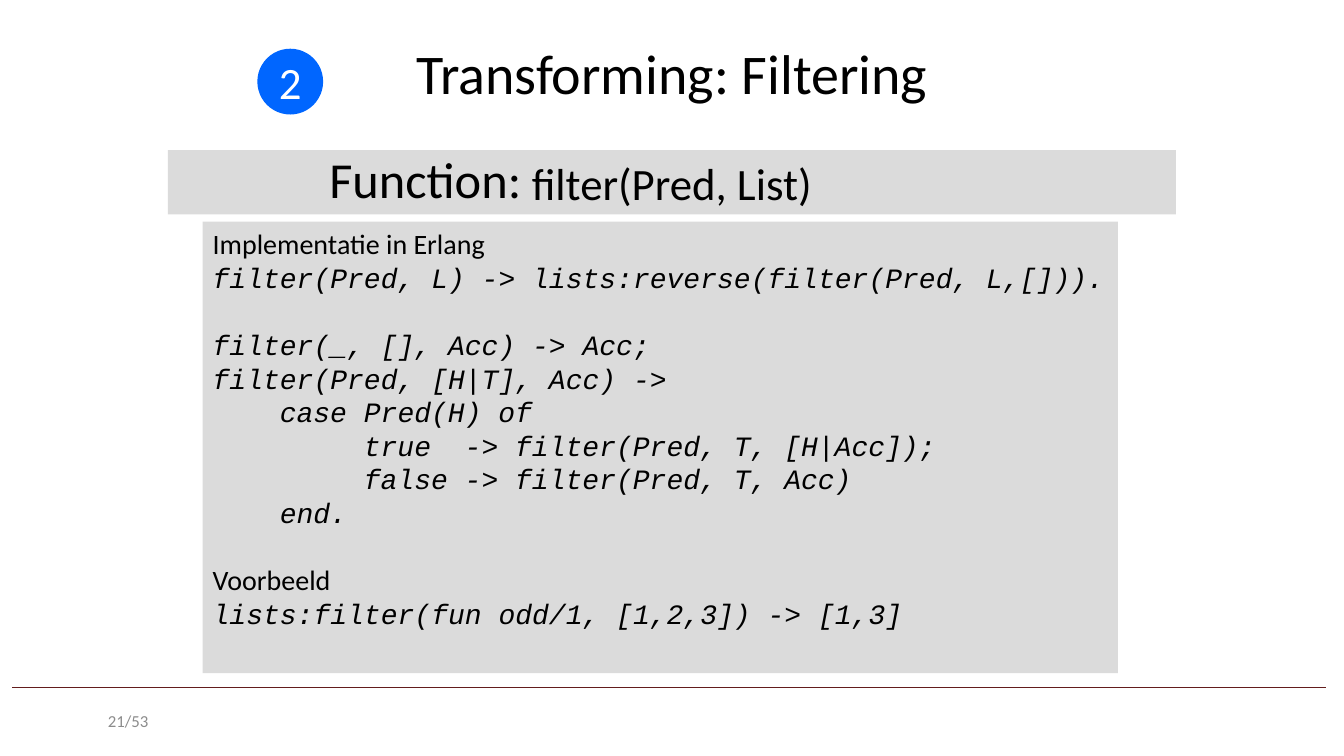
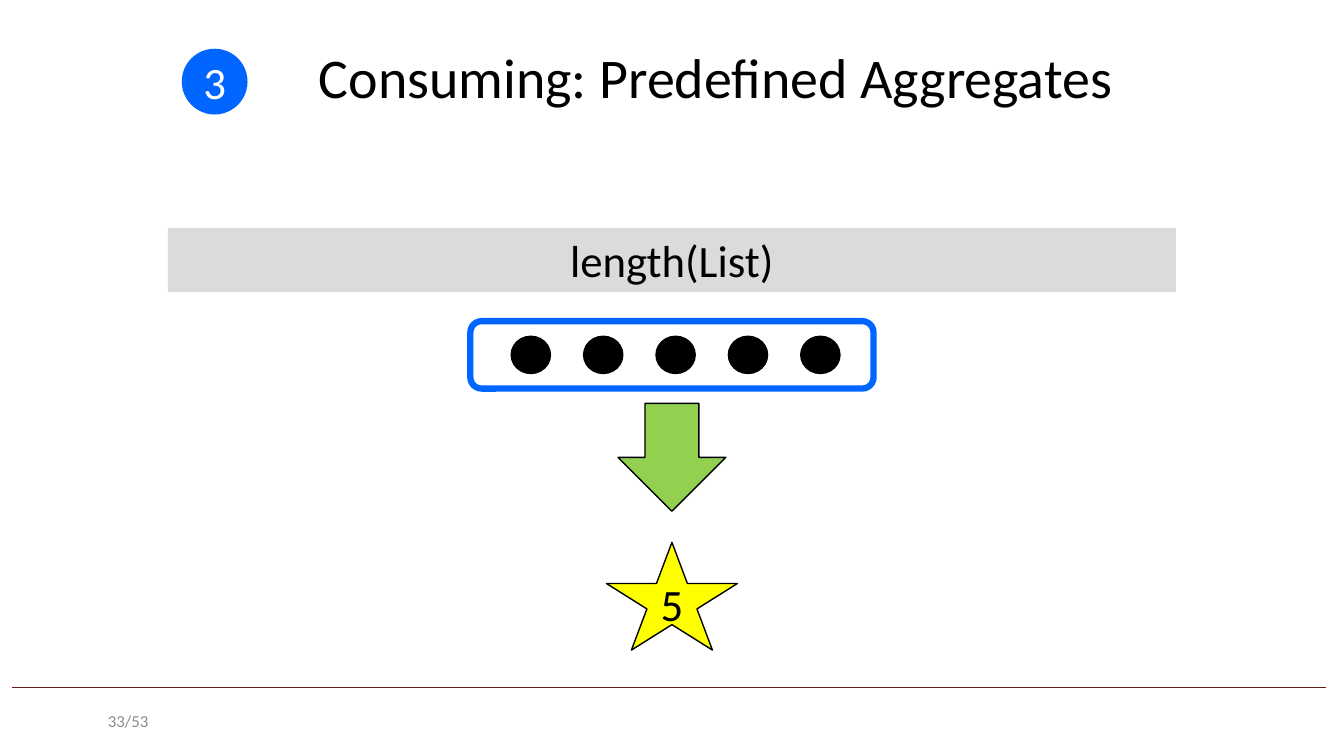
import pptx
import pptx.util
import pptx.dml.color
import pptx.enum.shapes
import pptx.enum.text
import pptx.oxml.ns
import lxml.etree

Pt = pptx.util.Pt
RGBColor = pptx.dml.color.RGBColor
SHAPE = pptx.enum.shapes.MSO_SHAPE
ALIGN = pptx.enum.text.PP_ALIGN
ANCHOR = pptx.enum.text.MSO_ANCHOR

BLACK = RGBColor(0x00, 0x00, 0x00)
WHITE = RGBColor(0xFF, 0xFF, 0xFF)
BAND_GRAY = RGBColor(0xDB, 0xDB, 0xDB)
NUMBER_GRAY = RGBColor(0x8C, 0x8C, 0x8C)
RULE_BROWN = RGBColor(0x63, 0x1D, 0x1D)
BLUE = RGBColor(0x00, 0x66, 0xFF)
GREEN = RGBColor(0x92, 0xD0, 0x50)
YELLOW = RGBColor(0xFF, 0xFF, 0x00)

BODY_FONT, CODE_FONT = "Calibri", "Courier New"
SLIDE_WIDTH, SLIDE_HEIGHT = 960, 540
PAGE_COUNT = 53
CODE_SIZE = 20
CODE_CHAR = 0.6 * CODE_SIZE
CODE_LINE = 24

# Each line: text, indent in characters, blank lines before it, is it code
FILTER_LISTING = [
    ("Implementatie in Erlang", 0, 0, False),
    ("filter(Pred, L) -> lists:reverse(filter(Pred, L,[])).", 0, 0, True),
    ("filter(_, [], Acc) -> Acc;", 0, 1, True),
    ("filter(Pred, [H|T], Acc) ->", 0, 0, True),
    ("case Pred(H) of", 4, 0, True),
    ("true  -> filter(Pred, T, [H|Acc]);", 9, 0, True),
    ("false -> filter(Pred, T, Acc)", 9, 0, True),
    ("end.", 4, 0, True),
    ("Voorbeeld", 0, 1, False),
    ("lists:filter(fun odd/1, [1,2,3]) -> [1,3]", 0, 0, True),
]


def points(box):
    """Turn a (left, top, width, height) box in points into lengths."""
    return [Pt(length) for length in box]


def add_run(paragraph, text, size, color=BLACK, font=BODY_FONT, italic=False):
    """Append one formatted run to a paragraph."""
    run = paragraph.add_run()
    run.text = text
    run.font.name = font
    run.font.size = Pt(size)
    run.font.italic = italic
    run.font.color.rgb = color


def write_line(frame, text, size, color=BLACK, align=ALIGN.CENTER, anchor=ANCHOR.MIDDLE):
    """Write a single line into an empty text frame."""
    frame.word_wrap = True
    frame.vertical_anchor = anchor
    frame.paragraphs[0].alignment = align
    add_run(frame.paragraphs[0], text, size, color)


def add_figure(shapes, preset, box, fill=None, outline=None, weight=1):
    """Add a flat preset shape with the given fill and outline."""
    figure = shapes.add_shape(preset, *points(box))
    figure.shadow.inherit = False
    if fill is None:
        figure.fill.background()
    else:
        figure.fill.solid()
        figure.fill.fore_color.rgb = fill
    if outline is None:
        figure.line.fill.background()
    else:
        figure.line.color.rgb = outline
        figure.line.width = Pt(weight)
    return figure


def add_label(slide, box, text, size, color, align, anchor):
    """Add a one-line text box."""
    label = slide.shapes.add_textbox(*points(box))
    write_line(label.text_frame, text, size, color, align, anchor)


def add_footer(slide, page):
    """Draw the footer rule and the page count."""
    rule = slide.shapes.add_connector(
        pptx.enum.shapes.MSO_CONNECTOR.STRAIGHT, Pt(8.6), Pt(491), Pt(946.8), Pt(491))
    rule.line.color.rgb = RULE_BROWN
    rule.line.width = Pt(0.25)
    lxml.etree.SubElement(rule._element.spPr, pptx.oxml.ns.qn("a:effectLst"))
    add_label(slide, (67, 500.4, 46, 28.8), f"{page}/{PAGE_COUNT}", 12,
              NUMBER_GRAY, ALIGN.RIGHT, ANCHOR.MIDDLE)


def add_title(slide, box, text):
    """Move the title placeholder into its box and write the title."""
    title = slide.shapes.title
    title.left, title.top, title.width, title.height = points(box)
    title.text_frame.auto_size = pptx.enum.text.MSO_AUTO_SIZE.NONE
    write_line(title.text_frame, text, 40)
    title.text_frame.paragraphs[0].line_spacing = 0.9


def add_badge(slide, left, step):
    """Draw the round step number beside the title."""
    badge = add_figure(slide.shapes, SHAPE.OVAL, (left, 35.3, 46, 46), BLUE, BLUE)
    write_line(badge.text_frame, step, 32, WHITE)


def add_band(slide, top, text):
    """Draw the gray band that carries the function signature."""
    band = add_figure(slide.shapes, SHAPE.RECTANGLE, (120, top, 720, 46), BAND_GRAY)
    write_line(band.text_frame, text, 32)


def add_listing(slide, box, listing):
    """Draw the code panel, with indents and gaps set per paragraph."""
    panel = add_figure(slide.shapes, SHAPE.RECTANGLE, box, BAND_GRAY)
    frame = panel.text_frame
    frame.word_wrap = True
    frame.vertical_anchor = ANCHOR.TOP
    for index, (text, indent, gap, is_code) in enumerate(listing):
        line = frame.add_paragraph() if index else frame.paragraphs[0]
        line.alignment = ALIGN.LEFT
        line.line_spacing = Pt(CODE_LINE)
        line.space_before = Pt(gap * CODE_LINE)
        if indent:
            line._p.get_or_add_pPr().set("marL", str(Pt(indent * CODE_CHAR)))
        add_run(line, text, CODE_SIZE, font=CODE_FONT if is_code else BODY_FONT,
                italic=is_code)


def add_list_capsule(slide, box, count):
    """Draw a list as a rounded frame holding evenly spaced dots."""
    left, top, width, height = box
    dot_width, dot_height, pitch = 28, 26.6, 51.7
    first = left + 29.2
    capsule = slide.shapes.add_group_shape().shapes
    add_figure(capsule, SHAPE.ROUNDED_RECTANGLE, box, outline=BLUE, weight=4.5)
    for index in range(count):
        dot = (first + index * pitch, top + (height - dot_height) / 2,
               dot_width, dot_height)
        add_figure(capsule, SHAPE.OVAL, dot, BLACK, BLACK)


def add_aggregate(slide, box, count):
    """Draw a list, an arrow down and the star with its length."""
    left, top, width, height = box
    center = left + width / 2
    add_list_capsule(slide, (left, top, width, 48.2), count)
    add_figure(slide.shapes, SHAPE.DOWN_ARROW,
               (center - 38.5, top + 58.8, 77, 77), GREEN, BLACK)
    star = add_figure(slide.shapes, SHAPE.STAR_5_POINT,
                      (center - 46.8, top + height - 77, 93.6, 77), YELLOW, BLACK)
    write_line(star.text_frame, str(count), 32)


def build_filtering(slide):
    """Build the slide on filtering a list."""
    add_footer(slide, 21)
    add_title(slide, (66, 28.8, 828, 52), "Transforming: Filtering")
    add_band(slide, 107.2, "filter(Pred, List)")
    add_label(slide, (228.2, 102.2, 153.4, 51), "Function:", 36,
              BLACK, ALIGN.LEFT, ANCHOR.TOP)
    add_listing(slide, (144.8, 158.4, 653.8, 322.4), FILTER_LISTING)
    add_badge(slide, 184.3, "2")


def build_aggregates(slide):
    """Build the slide on predefined aggregates."""
    add_footer(slide, 33)
    add_title(slide, (97.2, 31.7, 828, 52), "Consuming: Predefined Aggregates")
    add_band(slide, 162.7, "length(List)")
    add_badge(slide, 130.3, "3")
    add_aggregate(slide, (336, 229.4, 288, 235), 5)


deck = pptx.Presentation()
deck.slide_width, deck.slide_height = Pt(SLIDE_WIDTH), Pt(SLIDE_HEIGHT)
title_only = deck.slide_layouts[5]
for build in (build_filtering, build_aggregates):
    build(deck.slides.add_slide(title_only))
deck.save("out.pptx")
